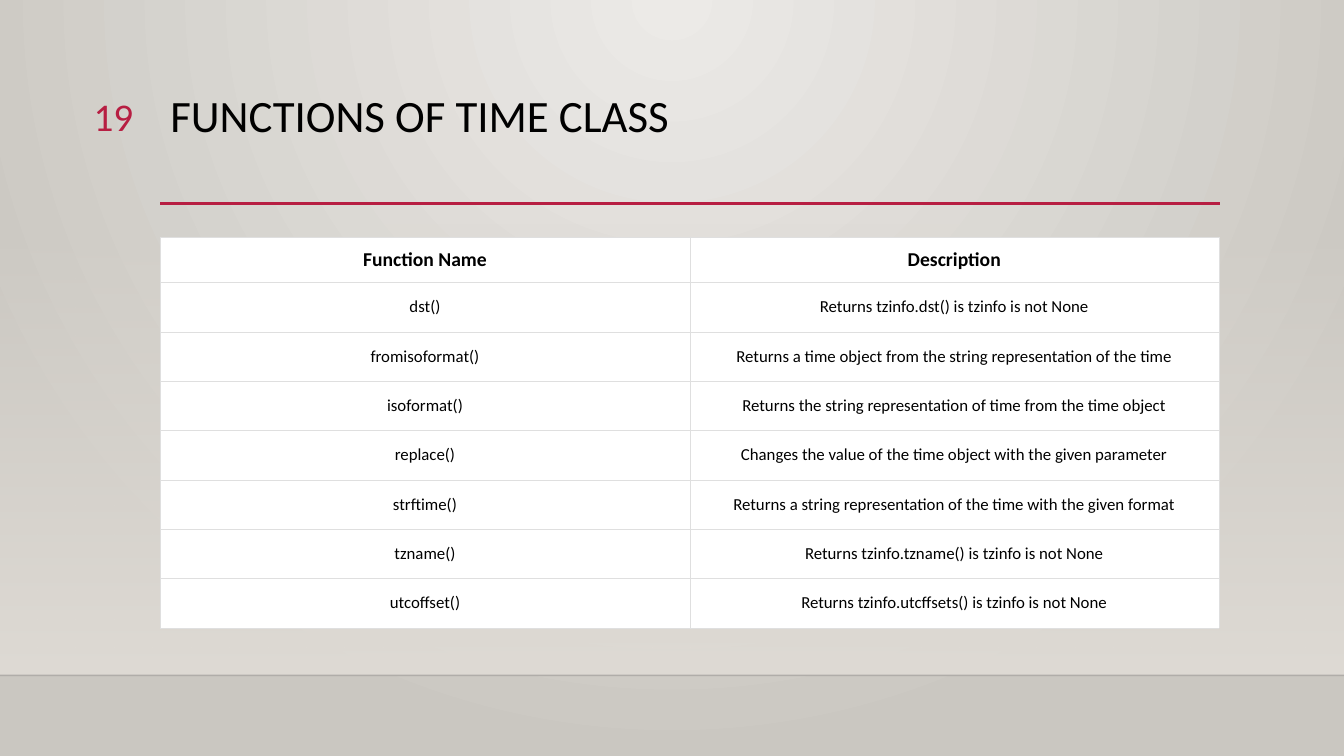
"""Build the slide listing the functions of the time class."""
from dataclasses import dataclass

from pptx import Presentation
from pptx.dml.color import RGBColor
from pptx.enum.shapes import MSO_CONNECTOR as Connector, MSO_SHAPE as Shape
from pptx.enum.text import MSO_ANCHOR as Anchor, PP_ALIGN as Align
from pptx.oxml import parse_xml
from pptx.oxml.ns import nsdecls, qn
from pptx.util import Inches, Pt

TITLE = "FUNCTIONS OF TIME CLASS"
PAGE = "19"
ROWS = [
    ("Function Name", "Description"),
    ("dst()", "Returns tzinfo.dst() is tzinfo is not None"),
    ("fromisoformat()", "Returns a time object from the string representation of the time"),
    ("isoformat()", "Returns the string representation of time from the time object"),
    ("replace()", "Changes the value of the time object with the given parameter"),
    ("strftime()", "Returns a string representation of the time with the given format"),
    ("tzname()", "Returns tzinfo.tzname() is tzinfo is not None"),
    ("utcoffset()", "Returns tzinfo.utcffsets() is tzinfo is not None"),
]


@dataclass(frozen=True)
class Theme:
    font: str = "Calibri"
    text: str = "000000"
    accent: str = "B71E42"
    light: str = "ECEAE7"
    dark: str = "CAC7C1"
    wall: str = "DFDBD5"
    floor: str = "000001"
    cell: str = "FFFFFF"
    border: str = "DFDFDF"
    title_size: int = 32
    page_size: int = 28
    head_size: int = 14
    body_size: int = 12


THEME = Theme()
WIDTH, HEIGHT = 13.33, 7.5
LEFT, CONTENT_W = 1.59, 10.5
FLOOR_Y, RULE_Y = 6.7, 2.02
HEAD_H, ROW_H = 0.45, 0.49


def style(p, size, color, align, bold=False):
    p.alignment = align
    for r in p.runs:
        r.font.name = THEME.font
        r.font.size = Pt(size)
        r.font.bold = bold
        r.font.color.rgb = RGBColor.from_string(color)


def alpha(percent):
    return parse_xml(f'<a:alpha {nsdecls("a")} val="{percent * 1000}"/>')


def set_gradient(fill, owner, colors, direction):
    fill.gradient()
    for stop, color, position in zip(fill.gradient_stops, colors, (0, 1)):
        stop.color.rgb = RGBColor.from_string(color)
        stop.position = position
    grad = next(owner.iter(qn("a:gradFill")))
    grad.replace(grad.find(qn("a:lin")), parse_xml(direction))
    return grad


def add_line(s, x1, x2, y, color, width):
    line = s.shapes.add_connector(
        Connector.STRAIGHT, Inches(x1), Inches(y), Inches(x2), Inches(y))
    line.line.color.rgb = RGBColor.from_string(color)
    line.line.width = Pt(width)
    line._element.spPr.append(parse_xml(f'<a:effectLst {nsdecls("a")}/>'))
    return line


def add_backdrop(s):
    set_gradient(
        s.background.fill, s._element, (THEME.light, THEME.dark),
        f'<a:path {nsdecls("a")} path="circle">'
        '<a:fillToRect l="43000" t="0" r="43000" b="100000"/></a:path>')
    wall_y = 2.21
    wall = s.shapes.add_shape(
        Shape.RECTANGLE, 0, Inches(wall_y), Inches(WIDTH), Inches(FLOOR_Y - wall_y))
    wall.shadow.inherit = False
    wall.line.fill.background()
    grad = set_gradient(
        wall.fill, wall._element, (THEME.wall, THEME.wall),
        f'<a:lin {nsdecls("a")} ang="5400000" scaled="0"/>')
    next(grad.iter(qn("a:srgbClr"))).append(alpha(0))
    floor = add_line(s, 0, WIDTH, FLOOR_Y, THEME.floor, 1)
    next(floor._element.iter(qn("a:srgbClr"))).append(alpha(20))
    add_line(s, LEFT, 12.1, RULE_Y, THEME.accent, 2.5)


def add_heading(s):
    title = s.shapes.title
    title.left, title.top = Inches(LEFT), Inches(0.88)
    title.width, title.height = Inches(CONTENT_W), Inches(1.15)
    page = s.shapes.add_textbox(Inches(0.53), Inches(0.87), Inches(0.89), Inches(0.55))
    for sp, text, size, color, align in (
            (title, TITLE, THEME.title_size, THEME.text, Align.LEFT),
            (page, PAGE, THEME.page_size, THEME.accent, Align.RIGHT)):
        tf = sp.text_frame
        tf.text = text
        tf.word_wrap = True
        tf.vertical_anchor = Anchor.TOP
        style(tf.paragraphs[0], size, color, align)
    title.text_frame.paragraphs[0].line_spacing = 0.9


def fill_cell(cell, text, is_head, side):
    cell.text = text
    cell.vertical_anchor = Anchor.MIDDLE
    cell.margin_left = cell.margin_right = Inches(side)
    cell.margin_top = cell.margin_bottom = Inches(0.08 if is_head else 0.12)
    size = THEME.head_size if is_head else THEME.body_size
    style(cell.text_frame.paragraphs[0], size, THEME.text, Align.CENTER, is_head)
    tcPr = cell._tc.get_or_add_tcPr()
    for edge in "LRTB":
        tcPr.append(parse_xml(
            f'<a:ln{edge} {nsdecls("a")} w="{Pt(0.18)}"><a:solidFill>'
            f'<a:srgbClr val="{THEME.border}"/></a:solidFill></a:ln{edge}>'))
    cell.fill.solid()
    cell.fill.fore_color.rgb = RGBColor.from_string(THEME.cell)


def add_function_table(s):
    heights = [HEAD_H] + [ROW_H] * (len(ROWS) - 1)
    table = s.shapes.add_table(
        len(ROWS), len(ROWS[0]), Inches(LEFT), Inches(2.35),
        Inches(CONTENT_W), Inches(sum(heights))).table
    table.first_row = table.horz_banding = False
    for i, (texts, height) in enumerate(zip(ROWS, heights)):
        table.rows[i].height = Inches(height)
        for j, text in enumerate(texts):
            fill_cell(table.cell(i, j), text, i == 0, 0.04 if i == j == 0 else 0.08)


def main():
    prs = Presentation()
    prs.slide_width, prs.slide_height = Inches(WIDTH), Inches(HEIGHT)
    s = prs.slides.add_slide(prs.slide_layouts[5])
    add_backdrop(s)
    add_heading(s)
    add_function_table(s)
    prs.save("out.pptx")


if __name__ == "__main__":
    main()
